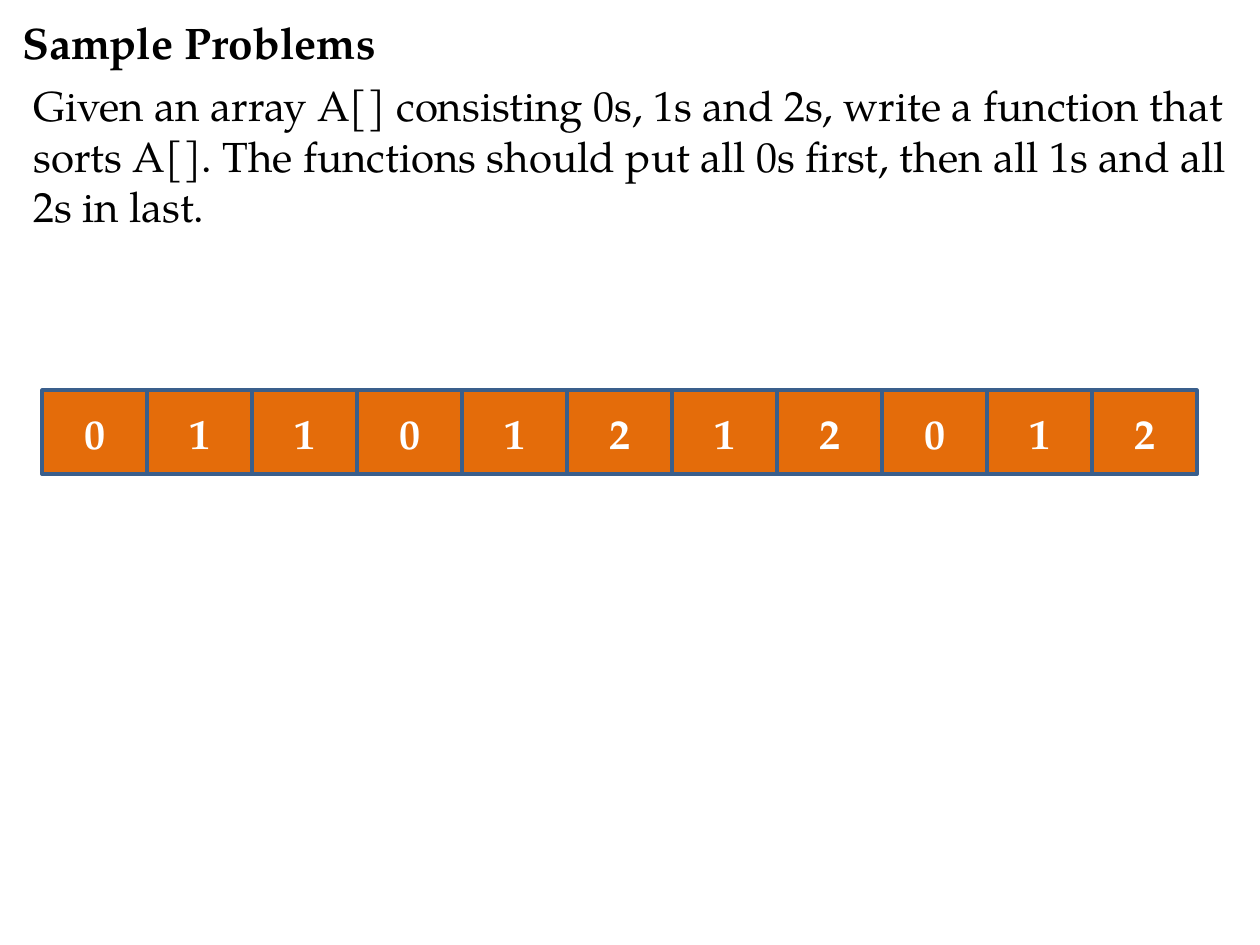
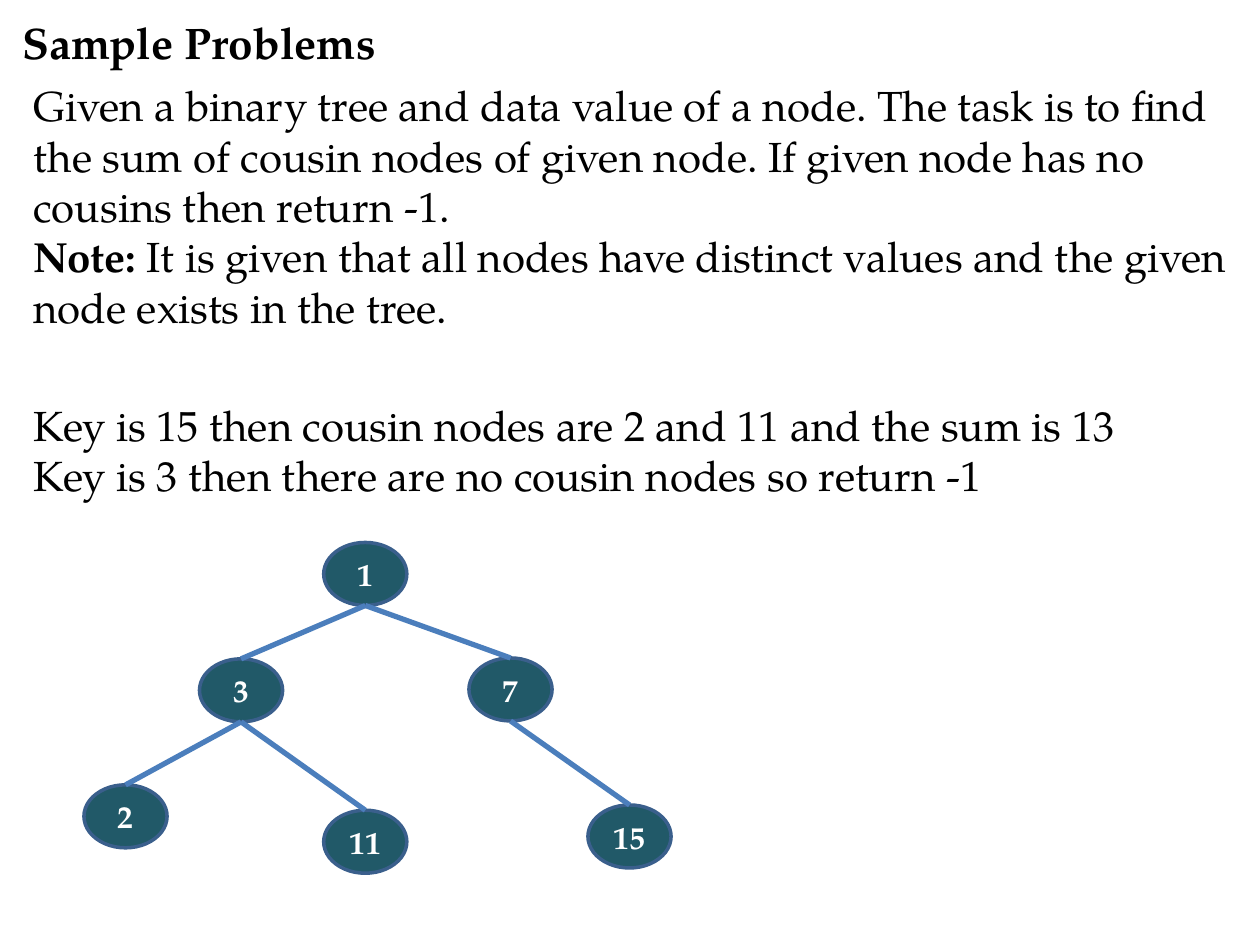
import pptx
import pptx.util
import pptx.dml.color
import pptx.enum.shapes
import pptx.enum.text
import lxml.etree

Pt = pptx.util.Pt
SHAPE = pptx.enum.shapes.MSO_SHAPE
FONT = "TeX Gyre Pagella"
HUES = {"ink": "000000", "white": "FFFFFF", "cell": "E46C0A",
        "node": "215968", "edge": "3A5F8C", "link": "4B7EBC"}
TITLE_BOX = (6, 6, 696, 36)
BODY_BOX = (12, 42, 702, 492)
ARRAY_BOX = (24, 223, 660, 48)
TREE_BOX = (48, 310, 335.5, 189)
NODE_SIZE = (47.5, 36)


def hue(name):
    return pptx.dml.color.RGBColor.from_string(HUES[name])


def style(para, size, ink, bold=False):
    for run in para.runs:
        run.font.name = FONT
        run.font.size = Pt(size)
        run.font.bold = bold
        run.font.color.rgb = hue(ink)


def add_box(slide, box):
    frame = slide.shapes.add_textbox(*map(Pt, box)).text_frame
    frame.word_wrap = True
    return frame


def add_title(slide, box, text):
    frame = add_box(slide, box)
    frame.vertical_anchor = pptx.enum.text.MSO_ANCHOR.MIDDLE
    frame.text = text
    style(frame.paragraphs[0], 25.2, "ink", True)


def add_body(slide, box, text):
    frame = add_box(slide, box)
    para = frame.paragraphs[0]
    para.text = text
    style(para, 24, "ink")
    return frame


def add_label(slide, kind, box, text, fill, size):
    shape = slide.shapes.add_shape(kind, *map(Pt, box))
    shape.shadow.inherit = False
    shape.fill.solid()
    shape.fill.fore_color.rgb = hue(fill)
    shape.line.color.rgb = hue("edge")
    shape.line.width = Pt(2)
    frame = shape.text_frame
    frame.margin_left = frame.margin_right = 0
    frame.vertical_anchor = pptx.enum.text.MSO_ANCHOR.MIDDLE
    frame.text = text
    para = frame.paragraphs[0]
    para.alignment = pptx.enum.text.PP_ALIGN.CENTER
    style(para, size, "white", True)


def add_array(slide, box, values):
    left, top, width, height = box
    step = width / len(values)
    for i, value in enumerate(values):
        cell = (left + i * step, top, step, height)
        add_label(slide, SHAPE.RECTANGLE, cell, value, "cell", 24)


def add_link(slide, start, end):
    line = slide.shapes.add_connector(
        pptx.enum.shapes.MSO_CONNECTOR.STRAIGHT, *map(Pt, start + end))
    line.line.color.rgb = hue("link")
    line.line.width = Pt(3)
    props = line._element.spPr
    lxml.etree.SubElement(props, pptx.oxml.ns.qn("a:effectLst"))


def add_tree(slide, box, nodes, links):
    left, top = box[:2]
    width, height = NODE_SIZE
    for text, (x, y) in nodes.items():
        place = (left + x, top + y, width, height)
        add_label(slide, SHAPE.OVAL, place, text, "node", 18)
    for parent, child in links:
        px, py = nodes[parent]
        cx, cy = nodes[child]
        mid = left + width / 2
        add_link(slide, (mid + px, top + py + height), (mid + cx, top + cy))


def new_slide(deck):
    slide = deck.slides.add_slide(deck.slide_layouts[6])
    add_title(slide, TITLE_BOX, "Sample Problems")
    return slide


def sort_slide(deck):
    slide = new_slide(deck)
    add_body(slide, BODY_BOX,
             "Given an array A[] consisting 0s, 1s and 2s, write a function that "
             "sorts A[]. The functions should put all 0s first, then all 1s and "
             "all 2s in last.")
    add_array(slide, ARRAY_BOX, "01101212012")


def tree_slide(deck):
    slide = new_slide(deck)
    frame = add_body(slide, BODY_BOX,
                     "Given a binary tree and data value of a node. The task is to "
                     "find the sum of cousin nodes of given node. If given node has "
                     "no cousins then return -1.")
    note = frame.add_paragraph()
    note.text = "Note:"
    note.add_run().text = (" It is given that all nodes have distinct values and "
                           "the given node exists in the tree.")
    style(note, 24, "ink")
    note.runs[0].font.bold = True
    keys = frame.add_paragraph()
    keys.text = ("Key is 15 then cousin nodes are 2 and 11 and the sum is 13\n"
                 "Key is 3 then there are no cousin nodes so return -1")
    keys.space_before = Pt(38.5)
    style(keys, 24, "ink")
    nodes = {"1": (137, 0), "3": (66, 66.5), "2": (0, 138.5),
             "7": (220, 66), "11": (137, 153), "15": (288, 150)}
    links = [("1", "7"), ("7", "15"), ("3", "11"), ("3", "2"), ("1", "3")]
    add_tree(slide, TREE_BOX, nodes, links)


def main():
    deck = pptx.Presentation()
    deck.slide_width, deck.slide_height = Pt(720), Pt(540)
    sort_slide(deck)
    tree_slide(deck)
    deck.save("out.pptx")


if __name__ == "__main__":
    main()
